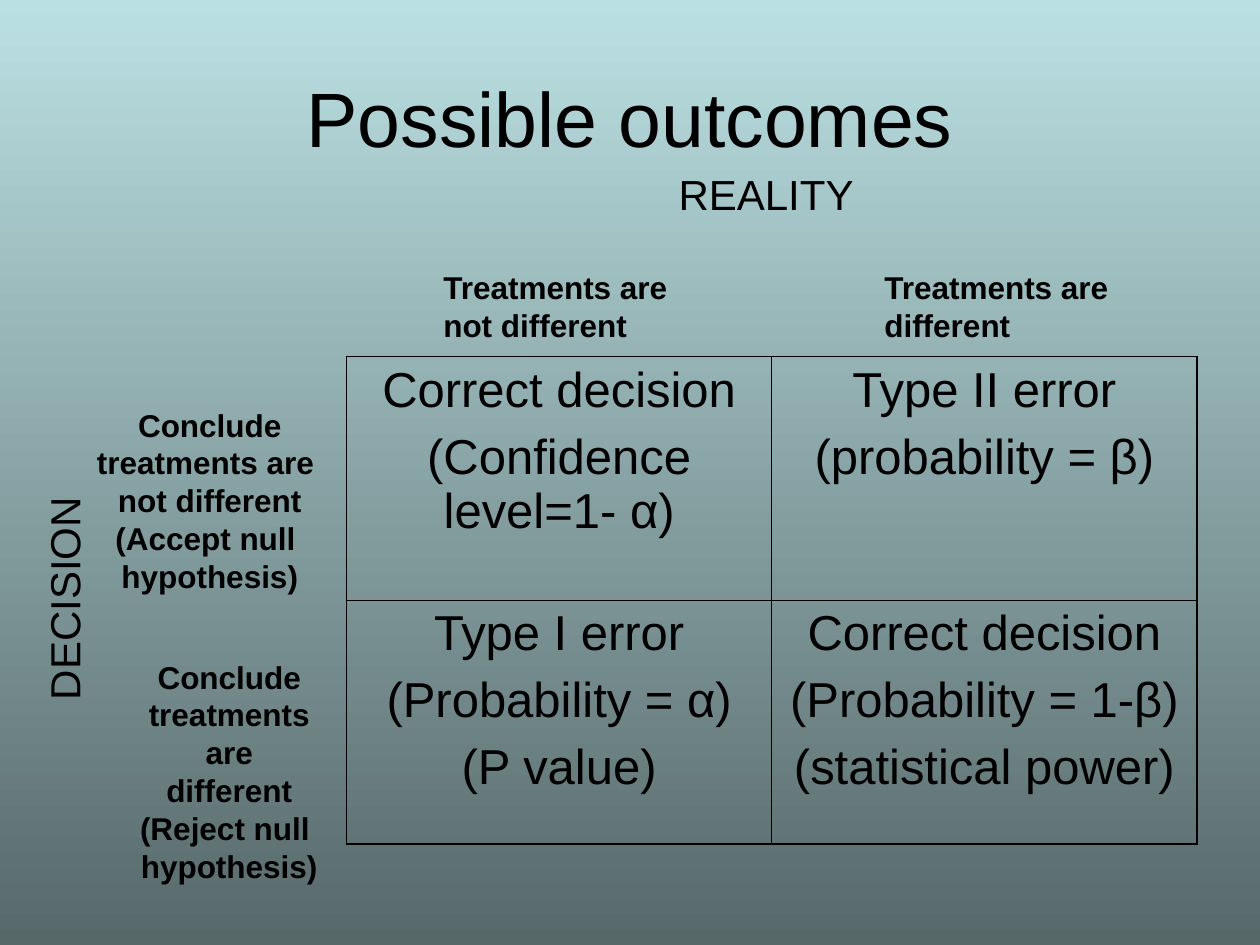
from lxml import etree
from pptx import Presentation
from pptx.dml.color import RGBColor
from pptx.enum.text import MSO_ANCHOR, MSO_AUTO_SIZE, PP_ALIGN
from pptx.oxml.ns import qn
from pptx.util import Inches, Pt

CENTER, LEFT = PP_ALIGN.CENTER, PP_ALIGN.LEFT
MIDDLE = MSO_ANCHOR.MIDDLE
FIT_SHAPE = MSO_AUTO_SIZE.SHAPE_TO_FIT_TEXT
FONT = "Arial"
BLACK = RGBColor(0x00, 0x00, 0x00)
SKY = RGBColor(0xBB, 0xE0, 0xE3)
SLATE = RGBColor(0x57, 0x68, 0x69)
OUTER_LINE, INNER_LINE = Pt(1.08), Pt(0.45)

OUTCOMES = [
    [["Correct decision", "(Confidence level=1- α)"],
     ["Type II error", "(probability = β)"]],
    [["Type I error", "(Probability = α)", "(P value)"],
     ["Correct decision", "(Probability = 1-β)", "(statistical power)"]],
]
AXES = [
    ("REALITY", (4.57, 1.29, 3.02, 0.5), 0),
    ("DECISION", (-1.16, 4.5, 3.33, 0.5), 270),
]
HEADINGS = [
    (["Treatments are", "not different"], (3.42, 2.08, 1.99, 0.7), LEFT),
    (["Treatments are", "different"], (6.92, 2.08, 1.99, 0.7), LEFT),
    (["Conclude", "treatments are ", "not different", "(Accept null ", "hypothesis)"],
     (0.67, 3.17, 1.99, 1.6), CENTER),
    (["Conclude", "treatments", "are different", "(Reject null ", "hypothesis)"],
     (1, 5.17, 1.64, 1.6), CENTER),
]


def write_lines(frame, lines, size, align=CENTER, bold=False, gap=0):
    """Fill a text frame with one paragraph per line."""
    for index, line in enumerate(lines):
        paragraph = frame.paragraphs[0] if index == 0 else frame.add_paragraph()
        paragraph.alignment = align
        if index and gap:
            paragraph.space_before = Pt(gap)
        run = paragraph.add_run()
        run.text = line
        run.font.name = FONT
        run.font.size = Pt(size)
        run.font.bold = bold
        run.font.color.rgb = BLACK


def paint_background(slide):
    """Shade the slide from sky at the top to slate at the bottom."""
    fill = slide.background.fill
    fill.gradient()
    fill.gradient_angle = 270
    for stop, color in zip(fill.gradient_stops, (SKY, SLATE)):
        stop.color.rgb = color
    fill.gradient_stops[0].position = 0
    fill.gradient_stops[1].position = 1


def place_title(slide, box, text):
    """Move the title placeholder to its box and write the title."""
    title = slide.shapes.title
    title.left, title.top, title.width, title.height = map(Inches, box)
    title.text_frame.vertical_anchor = MIDDLE
    write_lines(title.text_frame, [text], 44)


def place_label(slide, box, lines, size, align=CENTER, bold=False, wrap=True, rotation=0):
    """Add a text label in the given box."""
    label = slide.shapes.add_textbox(*map(Inches, box))
    label.rotation = rotation
    label.text_frame.word_wrap = wrap
    label.text_frame.auto_size = FIT_SHAPE
    write_lines(label.text_frame, lines, size, align, bold)


def draw_borders(cell, widths):
    """Draw the left, right, top and bottom borders of a cell."""
    properties = cell._tc.get_or_add_tcPr()
    for index, (side, width) in enumerate(zip("LRTB", widths)):
        line = etree.Element(qn(f"a:ln{side}"), w=str(width))
        fill = etree.SubElement(line, qn("a:solidFill"))
        etree.SubElement(fill, qn("a:srgbClr"), val=str(BLACK))
        properties.insert(index, line)


def place_outcomes(slide, box, outcomes):
    """Add the decision-by-reality table with heavier outer borders."""
    row_count, column_count = len(outcomes), len(outcomes[0])
    table = slide.shapes.add_table(row_count, column_count, *map(Inches, box)).table
    table.first_row = table.horz_banding = False
    for row, outcome_row in enumerate(outcomes):
        for column, lines in enumerate(outcome_row):
            cell = table.cell(row, column)
            cell.fill.background()
            write_lines(cell.text_frame, lines, 28, gap=7)
            at_edge = (column == 0, column == column_count - 1,
                       row == 0, row == row_count - 1)
            draw_borders(cell, [OUTER_LINE if edge else INNER_LINE for edge in at_edge])


def build_outcomes_slide(presentation):
    """Build the slide of possible test outcomes."""
    slide = presentation.slides.add_slide(presentation.slide_layouts[5])
    paint_background(slide)
    place_title(slide, (0.5, 0.3, 9, 1.25), "Possible outcomes")
    place_outcomes(slide, (2.75, 2.83, 6.75, 3.87), OUTCOMES)
    for axis, box, rotation in AXES:
        place_label(slide, box, [axis], 24, rotation=rotation)
    for lines, box, align in HEADINGS:
        place_label(slide, box, lines, 18, align, bold=True, wrap=False)


def main():
    """Create and save the presentation."""
    presentation = Presentation()
    presentation.slide_width = Inches(10)
    presentation.slide_height = Inches(7.5)
    build_outcomes_slide(presentation)
    presentation.save("out.pptx")


if __name__ == "__main__":
    main()
